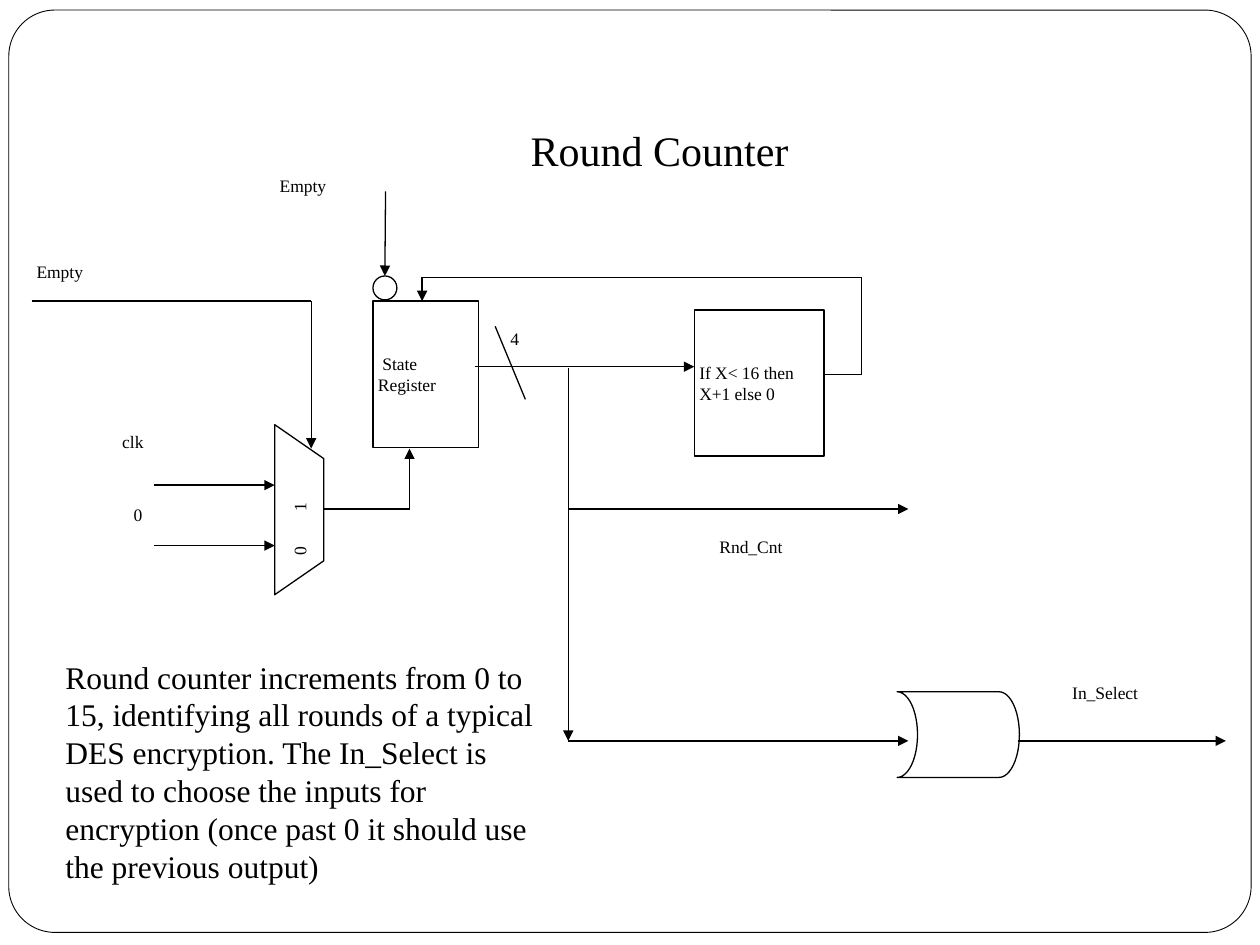
from itertools import pairwise

from lxml.etree import SubElement
from pptx import Presentation
from pptx.dml.color import RGBColor
from pptx.enum.shapes import MSO_CONNECTOR, MSO_SHAPE as SHAPE
from pptx.enum.text import MSO_ANCHOR as ANCHOR, PP_ALIGN as ALIGN
from pptx.oxml.ns import qn
from pptx.util import Inches, Pt

FONT, BLACK, WHITE = "Times New Roman", "000000", "FFFFFF"

# Content: blocks as (preset, box, rotation, text)
BLOCKS = {
    "mux": (SHAPE.FLOWCHART_MANUAL_OPERATION, (1.7, 3.85, 1.35, 0.39), 270, "0\t1"),
    "state": (SHAPE.RECTANGLE, (2.96, 2.39, 0.84, 1.16), 0, " State\vRegister"),
    "next": (SHAPE.RECTANGLE, (5.51, 2.46, 1.03, 1.16), 0, "If X< 16 then\vX+1 else 0"),
    "inverter": (SHAPE.OVAL, (2.96, 2.19, 0.19, 0.19), 0, ""),
    "gate": (SHAPE.FLOWCHART_STORED_DATA, (7.12, 5.49, 0.97, 0.68), 180, ""),
}
MUX_INPUT_GAP = 0.35

LABELS = [
    ("0", (1.02, 3.94, 0.29, 0.29)),
    ("clk", (0.93, 3.36, 0.68, 0.29)),
    ("Empty", (2.18, 1.33, 0.77, 0.29)),
    ("Empty", (0.25, 2.01, 0.77, 0.29)),
    ("In_Select", (8.47, 5.3, 0.97, 0.39)),
    ("Rnd_Cnt", (5.67, 4.14, 1.16, 0.39)),
    ("4", (4.01, 2.49, 0.4, 0.39)),
]
TITLE = ("Round Counter", (3.35, 0.75, 3.77, 0.87))
DESCRIPTION = (
    "Round counter increments from 0 to 15, identifying all rounds of a typical "
    "DES encryption. The In_Select is used to choose the inputs for encryption "
    "(once past 0 it should use the previous output)",
    (0.42, 5.17, 3.92, 1.62),
)

# Wires as corner points; each ends in an arrowhead
BUS_X, COUNT_Y, SELECT_Y = 4.51, 4.04, 5.88
WIRES = [
    [(0.25, 2.39), (2.47, 2.39), (2.47, 3.56)],
    [(1.22, 3.85), (2.18, 3.85)],
    [(1.22, 4.33), (2.18, 4.33)],
    [(2.57, COUNT_Y), (3.25, COUNT_Y), (3.25, 3.56)],
    [(3.77, 2.91), (5.51, 2.91)],
    [(6.54, 2.97), (6.84, 2.97), (6.84, 2.2), (3.35, 2.2), (3.35, 2.39)],
    [(BUS_X, 2.92), (BUS_X, SELECT_Y)],
    [(BUS_X, COUNT_Y), (7.21, COUNT_Y)],
    [(BUS_X, SELECT_Y), (7.21, SELECT_Y)],
    [(8.08, SELECT_Y), (9.73, SELECT_Y)],
]
RESET_WIRE = [(3.06, 1.52), (3.06, 2.19)]
BUS_SLASH = [(3.93, 2.59), (4.17, 3.17)]


def color(value):
    return RGBColor.from_string(value)


def write(shape, text, size=10, align=ALIGN.LEFT, anchor=ANCHOR.MIDDLE,
          wrap=False, inset=(0.04, 0.04), tab=None):
    frame = shape.text_frame
    frame.word_wrap = wrap
    frame.vertical_anchor = anchor
    frame.margin_left = frame.margin_right = Inches(inset[0])
    frame.margin_top = frame.margin_bottom = Inches(inset[1])
    paragraph = frame.paragraphs[0]
    paragraph.text = text
    paragraph.alignment = align
    if tab:
        stops = SubElement(paragraph._p.get_or_add_pPr(), qn("a:tabLst"))
        SubElement(stops, qn("a:tab"), pos=str(Inches(tab)), algn="l")
    for run in paragraph.runs:
        run.font.name, run.font.size = FONT, Pt(size)
        run.font.color.rgb = color(BLACK)


def add_block(slide, preset, box, rotation=0, fill=None, weight=0.75):
    shape = slide.shapes.add_shape(preset, *map(Inches, box))
    shape.rotation = rotation
    shape.shadow.inherit = False
    if fill:
        shape.fill.solid()
        shape.fill.fore_color.rgb = color(fill)
    else:
        shape.fill.background()
    shape.line.color.rgb = color(BLACK)
    shape.line.width = Pt(weight)
    return shape


def add_line(slide, start, end, arrow=False):
    line = slide.shapes.add_connector(
        MSO_CONNECTOR.STRAIGHT, *map(Inches, (*start, *end)))
    line.line.color.rgb = color(BLACK)
    line.line.width = Pt(0.75)
    if arrow:
        SubElement(line.line._get_or_add_ln(), qn("a:tailEnd"), type="triangle")
    SubElement(line._element.spPr, qn("a:effectLst"))
    return line


def add_text(slide, text, box, **style):
    write(slide.shapes.add_textbox(*map(Inches, box)), text, **style)


def main():
    deck = Presentation()
    deck.slide_width, deck.slide_height = Inches(10), Inches(7.5)
    slide = deck.slides.add_slide(deck.slide_layouts[6])

    # Slide frame
    border = add_block(slide, SHAPE.ROUNDED_RECTANGLE, (0.07, 0.08, 9.86, 7.32),
                       fill=WHITE, weight=0.5)
    border.adjustments[0] = 0.05

    # Circuit blocks
    blocks = {}
    for name, (preset, box, rotation, text) in BLOCKS.items():
        blocks[name] = add_block(slide, preset, box, rotation)
        if text:
            write(blocks[name], text, tab=MUX_INPUT_GAP if "\t" in text else None)

    # Wires
    for wire in WIRES:
        for start, end in pairwise(wire):
            add_line(slide, start, end, arrow=end == wire[-1])
    add_line(slide, *RESET_WIRE, arrow=True).end_connect(blocks["inverter"], 0)
    add_line(slide, *BUS_SLASH)

    # Labels, title and description
    for text, box in LABELS:
        add_text(slide, text, box)
    add_text(slide, *TITLE, size=24, align=ALIGN.CENTER)
    add_text(slide, *DESCRIPTION, size=18, anchor=ANCHOR.TOP, wrap=True,
             inset=(0.1, 0.05))

    deck.save("out.pptx")


if __name__ == "__main__":
    main()
